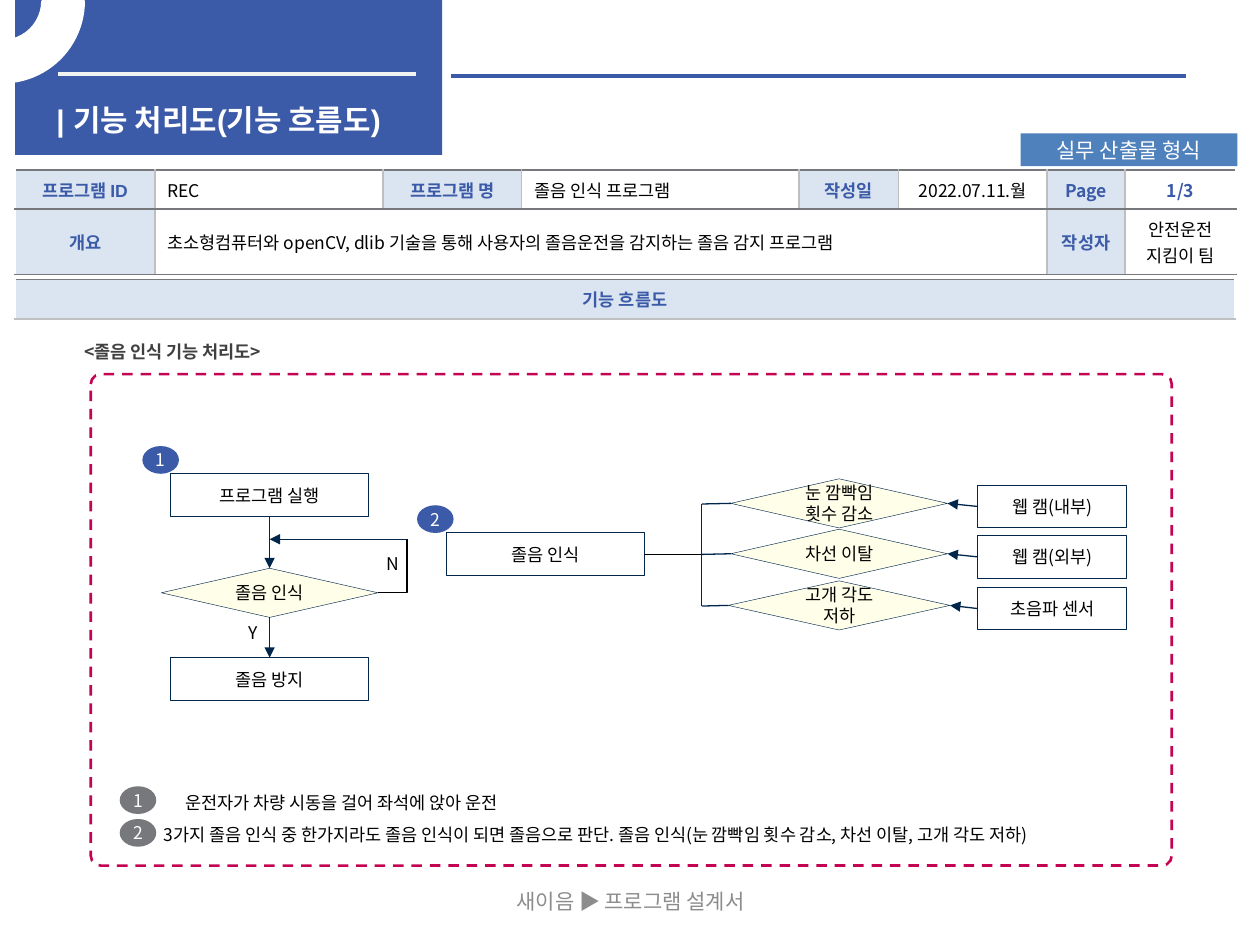
from lxml import etree
from pptx import Presentation
from pptx.dml.color import RGBColor
from pptx.enum import dml, shapes, text
from pptx.oxml.ns import qn
from pptx.util import Inches, Pt

BLUE, NAVY, GRAY, PALE = "3B5AA8", "00264C", "77787B", "B9CDE5"
WHITE, BLACK, SILVER, CREAM = "FFFFFF", "000000", "BFBFBF", "FFFFE9"
KOREAN, LATIN = "Noto Sans CJK KR", "Arial"
MSO, LEFT, CENTER = shapes.MSO_SHAPE, text.PP_ALIGN.LEFT, text.PP_ALIGN.CENTER

TITLE = "| 기능 처리도(기능 흐름도)"
TAG = "실무 산출물 형식"
SUBTITLE = "<졸음 인식 기능 처리도>"
FOOTER = "새이음 ▶ 프로그램 설계서"
SECTION = "기능 흐름도"

INFO_COLS = [1.11, 1.81, 1.1, 2.2, 0.79, 1.18, 0.62, 0.88]
INFO_ROWS = [0.31, 0.52]
# (column, text, kind)
INFO = [
    [(0, "프로그램 ID", "head"), (1, "REC", "left"), (2, "프로그램 명", "head"),
     (3, "졸음 인식 프로그램", "left"), (4, "작성일", "head"),
     (5, "2022.07.11.월", "center"), (6, "Page", "head"), (7, "1/3", "accent")],
    [(0, "개요", "head"),
     (1, "초소형컴퓨터와 openCV, dlib 기술을 통해 사용자의 졸음운전을 감지하는 졸음 감지 프로그램", "left"),
     (6, "작성자", "head"), (7, "안전운전\n지킴이 팀", "center")],
]

# (condition, diamond width, sensor, centre height)
CHECKS = [
    ("눈 깜빡임 횟수 감소", 1.72, "웹 캠(내부)", 4.0),
    ("차선 이탈", 1.72, "웹 캠(외부)", 4.4),
    ("고개 각도 저하", 1.76, "초음파 센서", 4.81),
]

LEGEND = [
    "운전자가 차량 시동을 걸어 좌석에 앉아 운전",
    "3가지 졸음 인식 중 한가지라도 졸음 인식이 되면 졸음으로 판단. "
    "졸음 인식(눈 깜빡임 횟수 감소, 차선 이탈, 고개 각도 저하)",
]
LABELS = [("Y", 1.87, 4.89, 0.28), ("N", 2.96, 4.34, 0.31)]
STEP_BADGES = [("1", 1.13, 3.54), ("2", 3.31, 4.01)]

prs = Presentation()
prs.slide_width, prs.slide_height = Inches(10), Inches(7.5)
slide = prs.slides.add_slide(prs.slide_layouts[6])


def rgb(color):
    return RGBColor.from_string(color)


def write(frame, words, size=10, color=BLACK, bold=False, align=CENTER,
          font=KOREAN, spacing=None):
    for i, line in enumerate(words.split("\n")):
        para = frame.add_paragraph() if i else frame.paragraphs[0]
        para.alignment, para.line_spacing = align, spacing
        run = para.add_run()
        run.text = line
        run.font.size, run.font.bold, run.font.name = Pt(size), bold, font
        run.font.color.rgb = rgb(color)
        east_asian = etree.SubElement(run.font._element, qn("a:ea"))
        east_asian.set("typeface", KOREAN)


def shape(kind, x, y, w, h, fill=None, line=None, width=0.5):
    item = slide.shapes.add_shape(kind, *map(Inches, (x, y, w, h)))
    item.shadow.inherit = False
    if fill:
        item.fill.solid()
        item.fill.fore_color.rgb = rgb(fill)
    else:
        item.fill.background()
    if line:
        item.line.color.rgb, item.line.width = rgb(line), Pt(width)
    else:
        item.line.fill.background()
    item.text_frame.vertical_anchor = text.MSO_ANCHOR.MIDDLE
    return item


def set_margins(frame, inset):
    frame.margin_left = frame.margin_right = Inches(inset)
    frame.margin_top = frame.margin_bottom = Inches(inset)


def label(words, x, y, w, h, wrap=True, **style):
    frame = slide.shapes.add_textbox(*map(Inches, (x, y, w, h))).text_frame
    frame.word_wrap = wrap
    write(frame, words, **style)
    return frame


def box(words, cx, cy, w=1.57):
    item = shape(MSO.RECTANGLE, cx - w / 2, cy - 0.17, w, 0.34, line=NAVY)
    set_margins(item.text_frame, 0.04)
    write(item.text_frame, words)
    return item


def diamond(words, cx, cy, w=1.72):
    item = shape(MSO.FLOWCHART_DECISION, cx - w / 2, cy - 0.2, w, 0.39, CREAM, NAVY, 0.25)
    write(item.text_frame, words)
    return item


def badge(number, x, y, fill):
    item = shape(MSO.OVAL, x, y, 0.29, 0.22, fill)
    set_margins(item.text_frame, 0.06)
    item.text_frame.word_wrap = False
    write(item.text_frame, number, color=WHITE)


def connect(start, end, color=NAVY, width=0.75, arrow=False,
            kind=shapes.MSO_CONNECTOR.STRAIGHT):
    """Draw a line; each end is an (x, y) point or a (shape, side) pair."""
    points = [(0, 0) if hasattr(p[0], "shape_id") else p for p in (start, end)]
    line = slide.shapes.add_connector(kind, *[Inches(v) for p in points for v in p])
    if hasattr(start[0], "shape_id"):
        line.begin_connect(*start)
    if hasattr(end[0], "shape_id"):
        line.end_connect(*end)
    line.line.color.rgb, line.line.width = rgb(color), Pt(width)
    if arrow:
        etree.SubElement(line.line._get_or_add_ln(), qn("a:tailEnd")).set("type", "triangle")
    etree.SubElement(line.element.spPr, qn("a:effectLst"))
    return line


def table(x, y, cols, rows):
    frame = slide.shapes.add_table(len(rows), len(cols), *map(Inches, (x, y, sum(cols), sum(rows))))
    grid = frame.table
    grid.first_row = grid.horz_banding = False
    for column, width in zip(grid.columns, cols):
        column.width = Inches(width)
    for row, height in zip(grid.rows, rows):
        row.height = Inches(height)
    return grid


def style_cell(cell, shaded, left, right, top, bottom):
    cell.vertical_anchor = text.MSO_ANCHOR.MIDDLE
    props = cell._tc.get_or_add_tcPr()
    if shaded:
        cell.fill.solid()
        cell.fill.fore_color.rgb = rgb(PALE)
        alpha = etree.SubElement(props.find(".//" + qn("a:srgbClr")), qn("a:alpha"))
        alpha.set("val", "50000")
    else:
        cell.fill.background()
    for i, (side, color) in enumerate(zip("LRTB", (left, right, top, bottom))):
        border = etree.Element(qn("a:ln" + side), w=str(Pt(1)))
        solid = etree.SubElement(border, qn("a:solidFill"))
        etree.SubElement(solid, qn("a:srgbClr"), val=color)
        props.insert(i, border)


# Header
shape(MSO.RECTANGLE, 0.12, 0, 3.39, 1.23, BLUE)
connect((0.46, 0.59), (3.3, 0.59), "F2F2F2", 2.25)
connect((3.58, 0.6), (9.41, 0.6), BLUE, 2.25)
label(TITLE, 0.35, 0.76, 3.07, 0.32, size=17, color=WHITE, bold=True, align=LEFT, font=LATIN)
ring = shape(MSO.BLOCK_ARC, -0.63, -0.63, 1.29, 1.28, WHITE, WHITE, 2)
for i, value in enumerate((161.59, 0, 0.25)):
    ring.adjustments[i] = value
ring.element.spPr.xfrm.set("flipV", "1")
tag = shape(MSO.RECTANGLE, 8.1, 1.06, 1.72, 0.26, "4F81BD")
write(tag.text_frame, TAG, 12, WHITE)

# Tables
section = table(0.12, 2.22, [9.68], [0.31, 4.15])
write(section.cell(0, 0).text_frame, SECTION, color=BLUE, bold=True)
style_cell(section.cell(0, 0), True, WHITE, WHITE, GRAY, SILVER)
style_cell(section.cell(1, 0), False, WHITE, WHITE, SILVER, WHITE)

info = table(0.12, 1.35, INFO_COLS, INFO_ROWS)
info.cell(1, 1).merge(info.cell(1, 5))
for r, entries in enumerate(INFO):
    kinds = {col: kind for col, _, kind in entries}
    for c in range(len(INFO_COLS)):
        style_cell(info.cell(r, c), kinds.get(c) == "head", SILVER if c else WHITE,
                   SILVER if c < len(INFO_COLS) - 1 else WHITE, GRAY, GRAY)
    for c, words, kind in entries:
        strong = kind in ("head", "accent")
        write(info.cell(r, c).text_frame, words, color=BLUE if strong else BLACK, bold=strong,
              align=LEFT if kind == "left" else CENTER, font=KOREAN if c else LATIN)

# Flow frame
label(SUBTITLE, 0.57, 2.62, 5.43, 0.28, color="404040", bold=True, align=LEFT, spacing=1.2)
border = shape(MSO.ROUNDED_RECTANGLE, 0.72, 2.97, 8.58, 3.9, line="C40452", width=1.5)
border.adjustments[0] = 0.02
border.line.dash_style = dml.MSO_LINE.DASH

# Main flow
run_step = box("프로그램 실행", 2.14, 3.93)
drowsy = diamond("졸음 인식", 2.14, 4.71)
prevent = box("졸음 방지", 2.14, 5.39)
connect((run_step, 2), (drowsy, 0), arrow=True)
connect((drowsy, 2), (prevent, 0), arrow=True)
loop = connect((3, 4.7), (3.23, 4.28), BLACK, kind=shapes.MSO_CONNECTOR.ELBOW)
loop.element.spPr.find(qn("a:prstGeom")).set("prst", "bentConnector2")
connect((3.23, 4.28), (2.14, 4.28), arrow=True)

# Detection detail
TRUNK_X = 5.57
detect = box("졸음 인식", 4.33, 4.4)
connect((detect, 3), (TRUNK_X, 4.4), BLACK)
connect((TRUNK_X, CHECKS[-1][-1]), (TRUNK_X, CHECKS[0][-1]))
for condition, width, sensor, cy in CHECKS:
    check = diamond(condition, 6.66, cy, width)
    source = box(sensor, 8.35, cy + 0.02, 1.18)
    connect((TRUNK_X, cy), (check, 1))
    connect((source, 1), (check, 3), arrow=True)

# Labels, badges and legend
for words, x, y, w in LABELS:
    label(words, x, y, w, 0.27, wrap=False)
for number, x, y in STEP_BADGES:
    badge(number, x, y, BLUE)
for i, (words, x, w, align) in enumerate(zip(LEGEND, (1.2, 1.2), (3.02, 8.08), (CENTER, LEFT))):
    y = 6.24 + 0.26 * i
    badge(str(i + 1), 0.95, y, GRAY)
    label(words, x, y - 0.04, w, 0.28, align=align, spacing=1.2)
footer = label(FOOTER, 3.42, 6.95, 3.17, 0.4, size=12, color="8C8C8C")
footer.vertical_anchor = text.MSO_ANCHOR.MIDDLE

prs.save("out.pptx")
